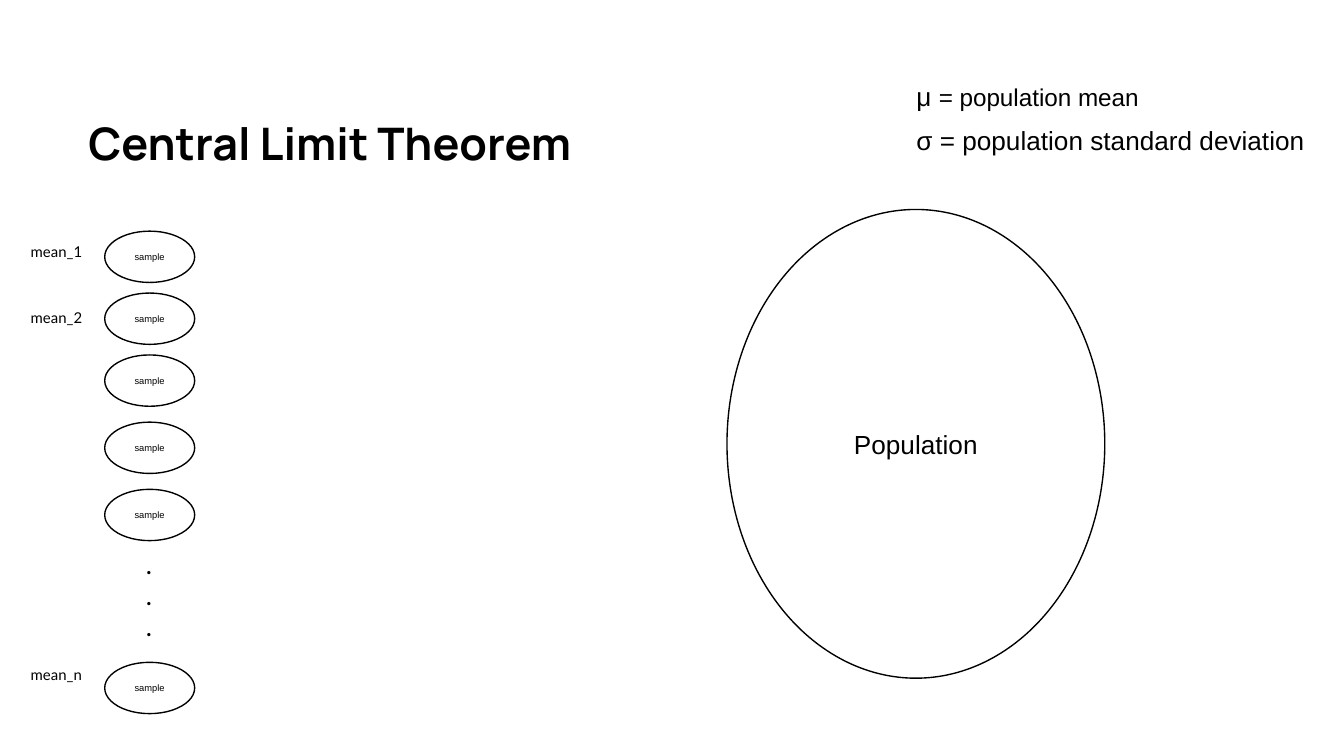
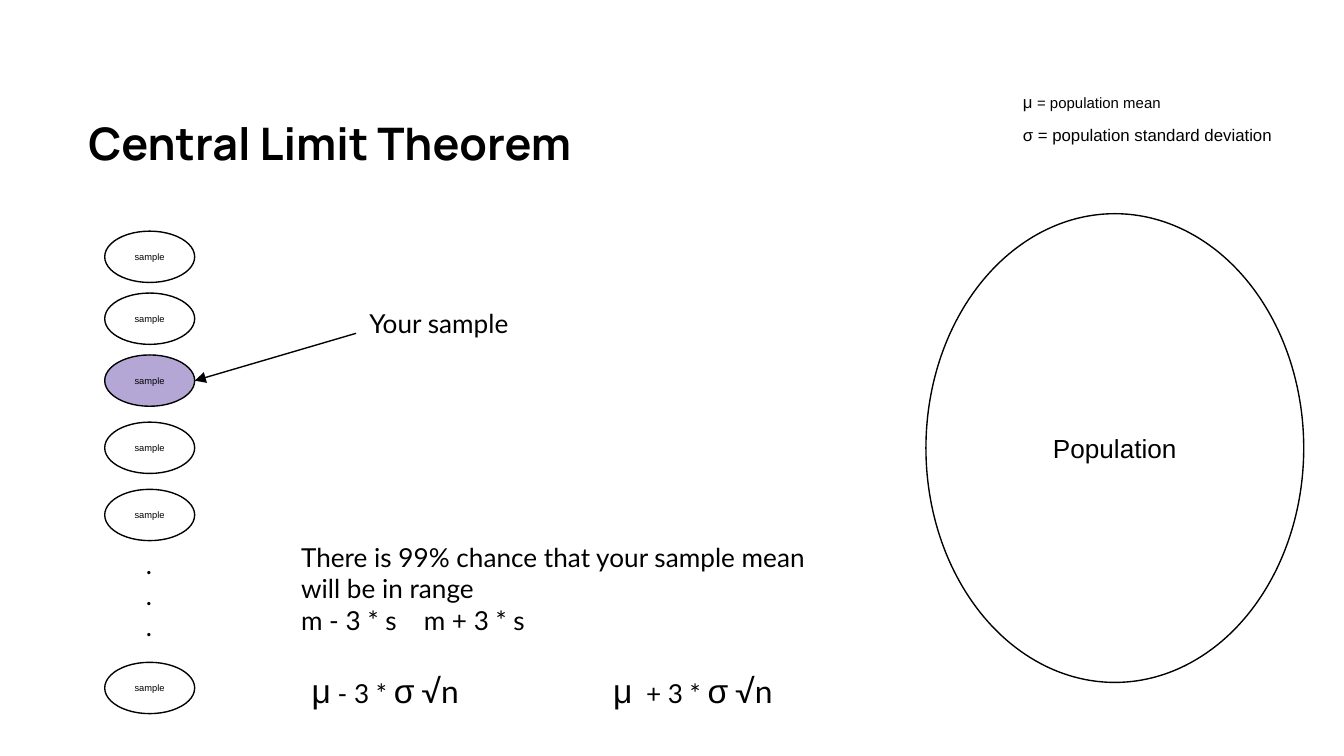
import pptx
import pptx.dml.color
import pptx.enum.shapes
import pptx.enum.text
import pptx.oxml.ns
import pptx.util
from lxml import etree

Cm = pptx.util.Cm
Pt = pptx.util.Pt
qn = pptx.oxml.ns.qn

BLACK, WHITE, LILAC = "000000", "FFFFFF", "B4A7D6"
INSET = Cm(0.25)
SAMPLE_LEFT, SAMPLE_W, SAMPLE_H = 1.98, 1.7, 0.97
SAMPLE_TOPS = (
    [4.37 + 1.17 * i for i in range(3)]
    + [6.71 + 1.27 * i for i in (1, 2)]
    + [12.52]
)
YOUR_SAMPLE = 2

FRAME = {
    "margin_left": INSET,
    "margin_right": INSET,
    "margin_top": INSET,
    "margin_bottom": INSET,
    "word_wrap": True,
}


def rgb(hex_color):
    return pptx.dml.color.RGBColor.from_string(hex_color)


def set_attrs(obj, values):
    for name, value in values.items():
        setattr(obj, name, value)


def add_runs(p, runs):
    for text, font, size in runs:
        r = p.add_run()
        r.text = text
        set_attrs(r.font, {"name": font, "size": Pt(size)})
        r.font.color.rgb = rgb(BLACK)


def add_tabs(p, stops):
    pPr = p._p.get_or_add_pPr()
    tabs = etree.SubElement(pPr, qn("a:tabLst"))
    for stop in stops:
        etree.SubElement(tabs, qn("a:tab"), pos=str(Cm(stop)), algn="l")


def add_text(s, left, top, width, height, paragraphs, grow=True):
    sp = s.shapes.add_textbox(Cm(left), Cm(top), Cm(width), Cm(height))
    tf = sp.text_frame
    set_attrs(tf, FRAME)
    if grow:
        tf.auto_size = pptx.enum.text.MSO_AUTO_SIZE.SHAPE_TO_FIT_TEXT
    for i, runs in enumerate(paragraphs):
        p = tf.add_paragraph() if i else tf.paragraphs[0]
        add_runs(p, runs)
    return tf


def add_title(s):
    tf = add_text(s, 1.42, 1.93, 14.43, 2.13,
                  [[("Central Limit Theorem", "Manrope", 24)]], grow=False)
    p = tf.paragraphs[0]
    p.space_after = Pt(16)
    p.runs[0].font.bold = True


def add_ellipse(s, left, top, width, height, text, size, fill=WHITE):
    sp = s.shapes.add_shape(pptx.enum.shapes.MSO_SHAPE.OVAL,
                            Cm(left), Cm(top), Cm(width), Cm(height))
    sp.shadow.inherit = False
    sp.fill.solid()
    sp.fill.fore_color.rgb = rgb(fill)
    sp.line.color.rgb = rgb(BLACK)
    sp.line.width = Pt(0.75)
    tf = sp.text_frame
    set_attrs(tf, {**FRAME, "vertical_anchor": pptx.enum.text.MSO_ANCHOR.MIDDLE})
    p = tf.paragraphs[0]
    p.alignment = pptx.enum.text.PP_ALIGN.CENTER
    add_runs(p, [(text, "Arial", size)])


def add_samples(s, marked=None):
    for i, top in enumerate(SAMPLE_TOPS):
        fill = LILAC if i == marked else WHITE
        add_ellipse(s, SAMPLE_LEFT, top, SAMPLE_W, SAMPLE_H, "sample", 5, fill)
    add_text(s, 2.51, 10.11, 1.04, 2.31, [[(".", "Lato", 14)]] * 3)


def add_arrow(s, x1, y1, x2, y2):
    c = s.shapes.add_connector(pptx.enum.shapes.MSO_CONNECTOR.STRAIGHT,
                               Cm(x1), Cm(y1), Cm(x2), Cm(y2))
    c.line.color.rgb = rgb(BLACK)
    c.line.width = Pt(0.75)
    etree.SubElement(c.line._get_or_add_ln(), qn("a:tailEnd"), type="triangle")
    etree.SubElement(c._element.spPr, qn("a:effectLst"))


def add_legend(s, left, width, height, sigma_top, mu_top, size):
    add_text(s, left, sigma_top, width, height,
             [[("σ = population standard deviation", "Arial", size)]])
    add_text(s, left, mu_top, width, height,
             [[("μ ", "Arial", size), ("= population mean", "Arial", size - 1)]])


def add_base(s, population_left, population_top, marked=None):
    add_title(s)
    add_ellipse(s, population_left, population_top, 7.14, 8.86, "Population", 14)
    add_samples(s, marked)


def add_range(s):
    tf = add_text(s, 5.44, 9.98, 10.44, 2.31, [
        [("There is 99% chance that your sample mean will be in range", "Lato", 14)],
        [("m - 3 * s\tm + 3 * s", "Lato", 14)],
    ])
    add_tabs(tf.paragraphs[1], [2.32])
    sigma_root = [("σ", "Arial", 18), (" ", "Lato", 14), ("√n", "Lato", 17)]
    mu = ("μ", "Arial", 18)
    tf = add_text(s, 5.64, 12.42, 10.44, 1.27, [
        [mu, (" - 3 * ", "Lato", 14), *sigma_root, ("\t", "Lato", 14),
         mu, ("\t+ 3 * ", "Lato", 14), *sigma_root],
    ])
    add_tabs(tf.paragraphs[0], [5.7, 6.32])


def build_sampling(s):
    add_base(s, 13.74, 3.96)
    for label, top in (("mean_1", 4.42), ("mean_2", 5.66), ("mean_n", 12.42)):
        add_text(s, 0.33, top, 1.52, 0.86, [[(label, "Lato", 8)]])
    add_legend(s, 17.07, 8.33, 1.12, 2.11, 1.27, 14)


def build_your_sample(s):
    add_base(s, 17.5, 4.04, YOUR_SAMPLE)
    add_arrow(s, 6.73, 6.3, SAMPLE_LEFT + SAMPLE_W,
              SAMPLE_TOPS[YOUR_SAMPLE] + SAMPLE_H / 2)
    add_text(s, 6.73, 5.56, 3.4, 1.12, [[("Your sample", "Lato", 14)]])
    add_legend(s, 19.08, 5.89, 0.89, 2.16, 1.55, 9)
    add_range(s)


def main():
    prs = pptx.Presentation()
    set_attrs(prs, {"slide_width": Cm(25.4), "slide_height": Cm(14.29)})
    for build in (build_sampling, build_your_sample):
        build(prs.slides.add_slide(prs.slide_layouts[6]))
    prs.save("out.pptx")


if __name__ == "__main__":
    main()
